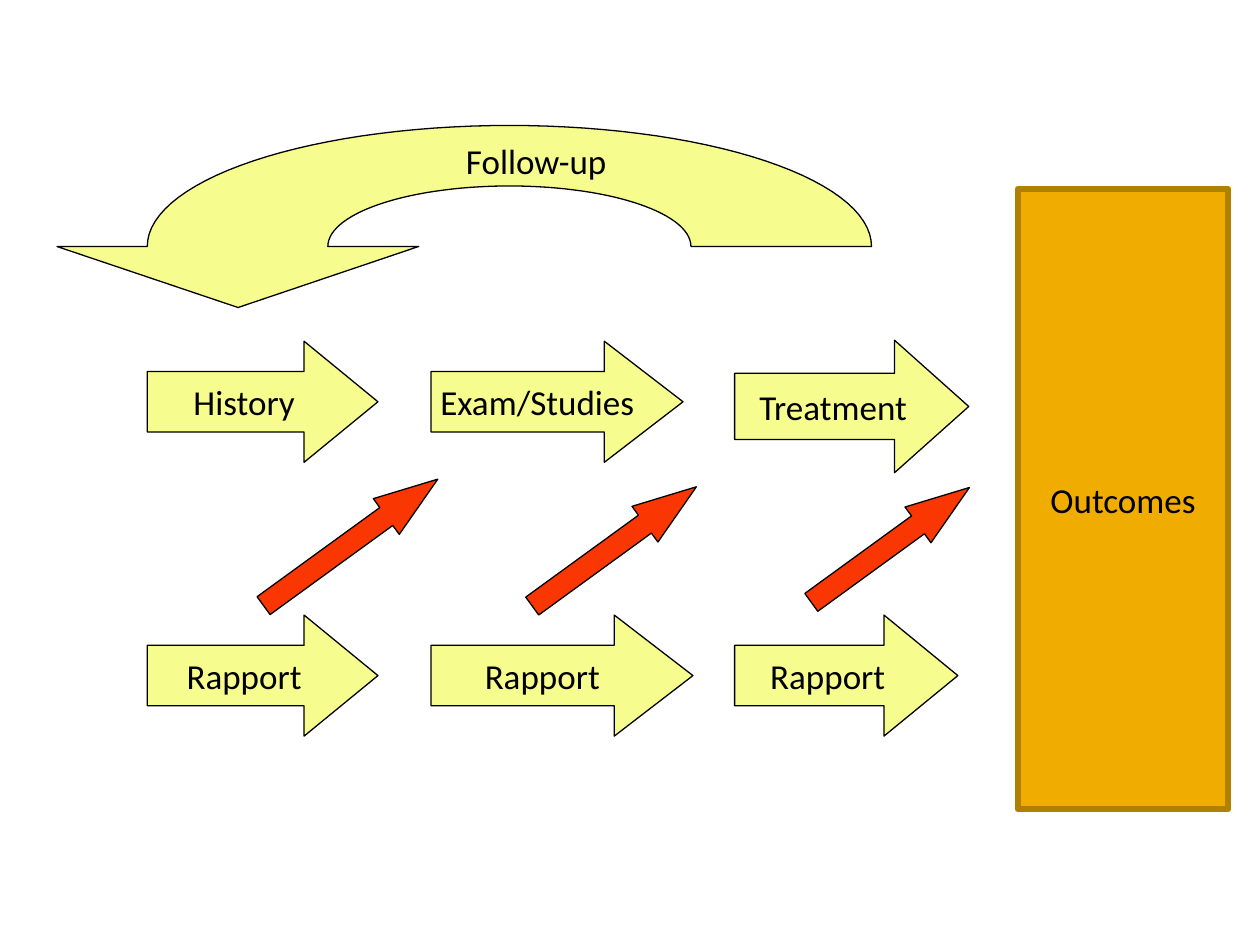
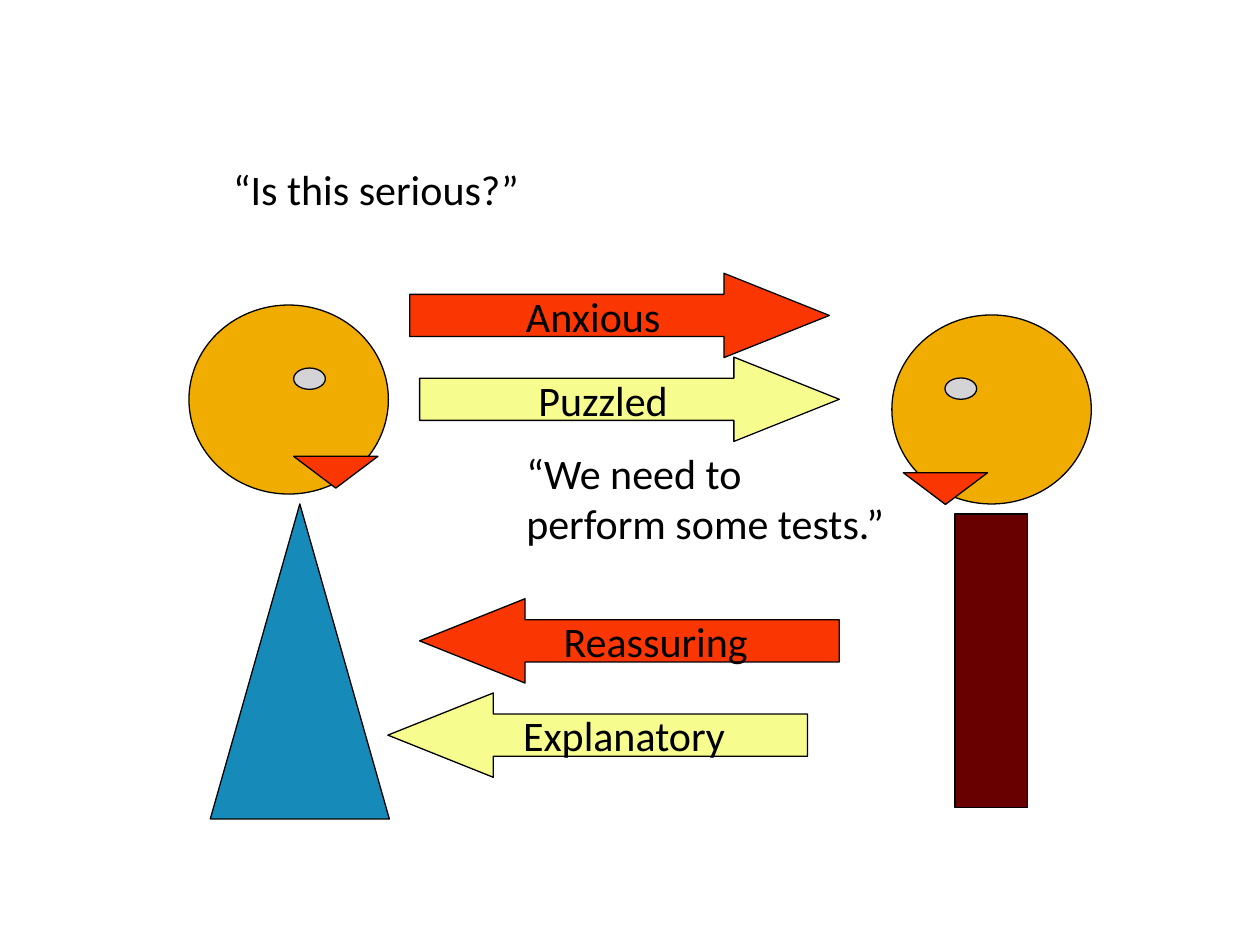
"""Build two diagrams: the course of a visit and a talk between two people."""
import math
from dataclasses import dataclass

import pptx
import pptx.dml.color
import pptx.enum.shapes
import pptx.enum.text
import pptx.util

Cm = pptx.util.Cm
Pt = pptx.util.Pt
KIND = pptx.enum.shapes.MSO_SHAPE
ALIGN = pptx.enum.text.PP_ALIGN
MIDDLE = pptx.enum.text.MSO_ANCHOR.MIDDLE

FONT = "Calibri"
COLORS = {
    "black": "000000",
    "yellow": "F7FC8E",
    "red": "FA3702",
    "gold": "F0AD00",
    "bronze": "B28000",
    "gray": "D4D4D6",
    "blue": "168BBA",
    "maroon": "680000",
}


@dataclass
class Box:
    left: float
    top: float
    width: float
    height: float


@dataclass
class Arrow:
    text: str
    box: Box
    head: float
    fill: str = "yellow"
    kind: KIND = KIND.RIGHT_ARROW
    size: int = 20
    turn: float = 0


@dataclass
class Face:
    head: Box
    eye: Box
    mouth: Box


def color(name: str):
    return pptx.dml.color.RGBColor.from_string(COLORS[name])


def place(box: Box) -> tuple:
    return Cm(box.left), Cm(box.top), Cm(box.width), Cm(box.height)


def write(shape, text: str, *, size: int = 20, align=ALIGN.CENTER,
          wrap: bool = True, anchor=None) -> None:
    frame = shape.text_frame
    frame.word_wrap = wrap
    if anchor is not None:
        frame.vertical_anchor = anchor
    line = frame.paragraphs[0]
    line.text = text
    line.alignment = align
    line.font.name = FONT
    line.font.size = Pt(size)
    line.font.color.rgb = color("black")


def paint(shape, fill: str, line: str = "black", weight: float = 0.75) -> None:
    shape.shadow.inherit = False
    shape.fill.solid()
    shape.fill.fore_color.rgb = color(fill)
    shape.line.color.rgb = color(line)
    shape.line.width = Pt(weight)


def draw(slide, kind: KIND, box: Box, fill: str, **line):
    shape = slide.shapes.add_shape(kind, *place(box))
    paint(shape, fill, **line)
    return shape


def label(slide, box: Box, text: str, **style) -> None:
    write(slide.shapes.add_textbox(*place(box)), text, **style)


def point(slide, arrow: Arrow) -> None:
    shape = draw(slide, arrow.kind, arrow.box, arrow.fill)
    shape.adjustments[0] = 0.5
    shape.adjustments[1] = arrow.head
    shape.rotation = arrow.turn
    if arrow.text:
        write(shape, arrow.text, size=arrow.size, wrap=False, anchor=MIDDLE)


def arc(wide: float, high: float, steps: int = 60) -> list:
    mid, base = 10.27, 4.97
    angles = [math.pi * i / steps for i in range(steps + 1)]
    return [(mid + wide * math.cos(a), base - high * math.sin(a)) for a in angles]


def loop(slide) -> None:
    outer, inner = arc(7.3, 2.44), arc(3.66, 1.22)
    tip = [(1.15, 4.97), (4.8, 6.2), (8.44, 4.97)]
    spots = [(Cm(x), Cm(y)) for x, y in outer + tip + inner[::-1]]
    path = slide.shapes.build_freeform(*spots[0])
    path.add_line_segments(spots[1:], close=True)
    paint(path.convert_to_shape(), "yellow")


def visit(slide) -> None:
    for arrow in (
        Arrow("History", Box(2.97, 6.88, 4.65, 2.44), 0.61),
        Arrow("Exam/Studies", Box(8.69, 6.88, 5.08, 2.44), 0.65),
        Arrow("Treatment", Box(14.81, 6.86, 4.72, 2.67), 0.56),
    ):
        point(slide, arrow)
    for left, width, head in ((2.97, 4.65, 0.61), (8.69, 5.28, 0.65), (14.81, 4.5, 0.61)):
        point(slide, Arrow("Rapport", Box(left, 12.4, width, 2.44), head))
    for left, top, width in ((4.9, 10.49, 4.34), (10.34, 10.57, 4.09), (15.98, 10.54, 3.94)):
        point(slide, Arrow("", Box(left, top, width, 0.89), 1.44, "red", turn=-36))
    loop(slide)
    label(slide, Box(8.36, 2.69, 4.9, 1.12), "Follow-up")
    goal = draw(slide, KIND.RECTANGLE, Box(20.52, 3.81, 4.24, 12.5), "gold",
                line="bronze", weight=3.78)
    write(goal, "Outcomes", anchor=MIDDLE)


def talk(slide) -> None:
    for face in (
        Face(Box(3.81, 6.15, 4.02, 3.81), Box(5.92, 7.42, 0.64, 0.43),
             Box(5.92, 9.2, 1.7, 0.64)),
        Face(Box(17.98, 6.35, 4.02, 3.81), Box(19.05, 7.62, 0.64, 0.43),
             Box(18.21, 9.53, 1.7, 0.64)),
    ):
        draw(slide, KIND.OVAL, face.head, "gold")
        draw(slide, KIND.OVAL, face.eye, "gray")
        draw(slide, KIND.FLOWCHART_MERGE, face.mouth, "red")
    label(slide, Box(4.45, 3.18, 9.96, 1.27), "“Is this serious?”",
          size=24, align=ALIGN.LEFT)
    label(slide, Box(10.36, 8.89, 7.82, 3.3), "“We need to perform some tests.”",
          size=24, align=ALIGN.LEFT)
    for text, left, top, fill, kind in (
        ("Anxious", 8.26, 5.51, "red", KIND.RIGHT_ARROW),
        ("Puzzled", 8.46, 7.2, "yellow", KIND.RIGHT_ARROW),
        ("Reassuring", 8.46, 12.07, "red", KIND.LEFT_ARROW),
        ("Explanatory", 7.82, 13.97, "yellow", KIND.LEFT_ARROW),
    ):
        point(slide, Arrow(text, Box(left, top, 8.46, 1.7), 1.25, fill, kind, 24))
    draw(slide, KIND.FLOWCHART_EXTRACT, Box(4.24, 10.16, 3.61, 6.35), "blue")
    draw(slide, KIND.RECTANGLE, Box(19.25, 10.36, 1.47, 5.92), "maroon")


def main() -> None:
    deck = pptx.Presentation()
    deck.slide_width, deck.slide_height = Cm(25.4), Cm(19.05)
    blank = deck.slide_layouts[6]
    for build in (visit, talk):
        build(deck.slides.add_slide(blank))
    deck.save("out.pptx")


if __name__ == "__main__":
    main()
